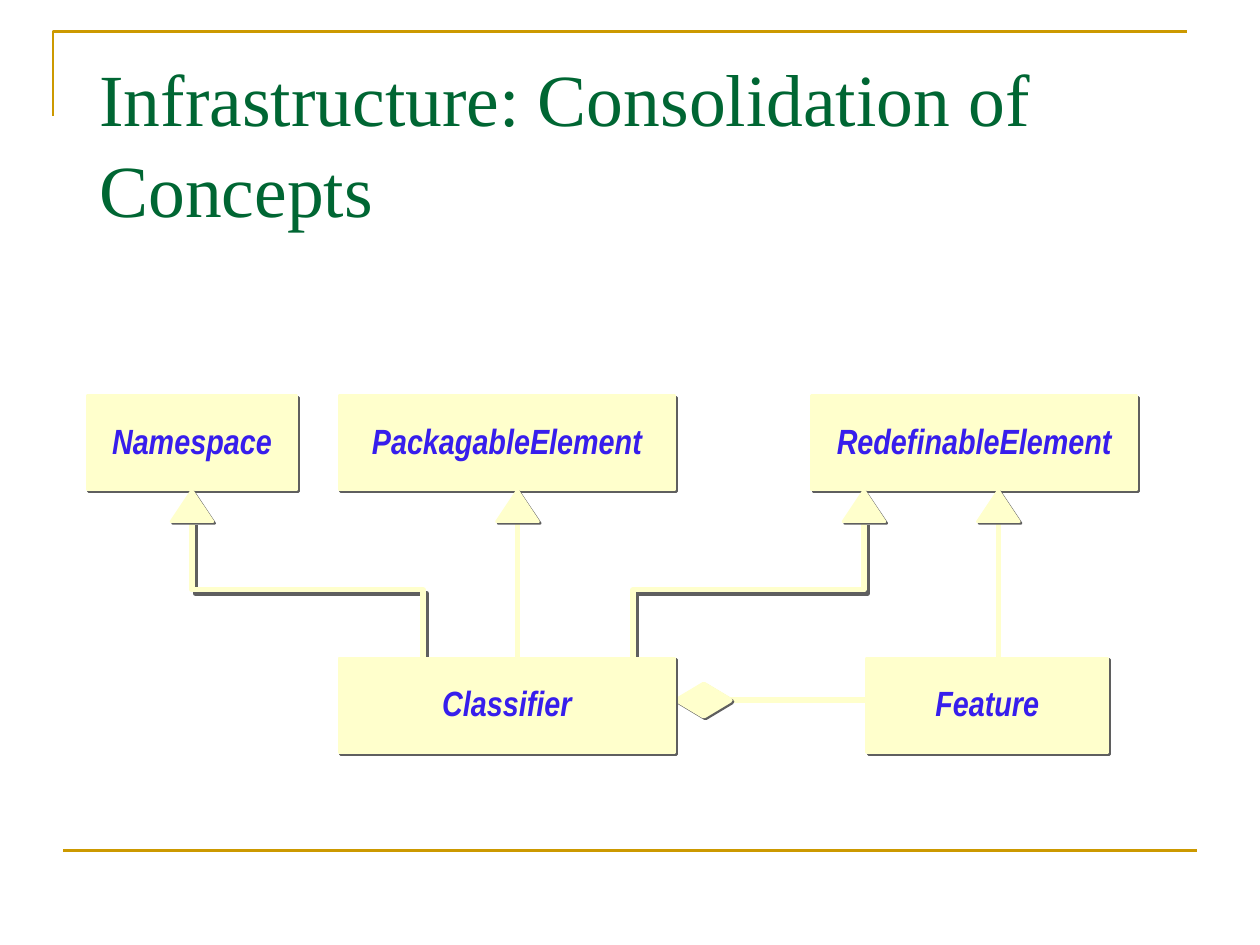
"""Build the slide on consolidating infrastructure concepts as a class diagram."""
from lxml.etree import SubElement
from pptx import Presentation
from pptx.dml.color import RGBColor
from pptx.enum.shapes import MSO_CONNECTOR, MSO_SHAPE
from pptx.enum.text import MSO_ANCHOR, PP_ALIGN
from pptx.oxml.ns import qn
from pptx.util import Inches, Pt

COLORS = {
    "rule": "CC9900",
    "title": "006633",
    "box": "FFFFCC",
    "label": "371EEC",
    "shadow": "5F5F5F",
}
COLOR = {name: RGBColor.from_string(value) for name, value in COLORS.items()}
CELL = Inches(1) / 12
LEFT, TOP = Inches(0.69), Inches(3.14)
BOX_ROWS, ARROW_ROWS, LOWER_ROW = 9, 3, 25
ARROW_BASE = BOX_ROWS + ARROW_ROWS
BEND_ROW = (ARROW_BASE + LOWER_ROW) / 2
DIAMOND_COLUMN, DIAMOND_ROW = 56.25, 29

presentation = Presentation()
presentation.slide_width, presentation.slide_height = Inches(10), Inches(7.5)
slide = presentation.slides.add_slide(presentation.slide_layouts[6])
shapes = slide.shapes


def grid(column, row):
    return round(LEFT + column * CELL), round(TOP + row * CELL)


def finish(shape, color, width, shadow_distance=0):
    shape.line.color.rgb = COLOR[color]
    shape.line.width = Pt(width)
    properties = shape._element.spPr
    effects = properties.find(qn("a:effectLst"))
    if effects is None:
        effects = SubElement(properties, qn("a:effectLst"))
    if shadow_distance:
        shadow = SubElement(effects, qn("a:outerShdw"), dist=str(Pt(shadow_distance)),
                            dir="2700000", algn="ctr", rotWithShape="0")
        SubElement(shadow, qn("a:srgbClr"), val=COLORS["shadow"])


frame_builder = shapes.build_freeform(Inches(0.42), Inches(0.92))
frame_builder.add_line_segments(
    [(Inches(0.42), Inches(0.25)), (Inches(9.42), Inches(0.25))], close=False)
frame = frame_builder.convert_to_shape()
frame.shadow.inherit = False
frame.fill.background()
finish(frame, "rule", 1.5)
footer_rule = shapes.add_connector(
    MSO_CONNECTOR.STRAIGHT, Inches(0.5), Inches(6.75), Inches(9.5), Inches(6.75))
finish(footer_rule, "rule", 1.5)

title = shapes.add_textbox(Inches(0.5), Inches(0.3), Inches(9), Inches(1.25))
title.text_frame.word_wrap = True
title.text_frame.margin_left = Inches(0.29)
title.text_frame.margin_top = Inches(0.09)
title.text_frame.text = "Infrastructure: Consolidation of Concepts"
paragraph = title.text_frame.paragraphs[0]
paragraph.line_spacing = 1.04
font = paragraph.runs[0].font
font.name, font.size = "Times New Roman", Pt(42)
font.color.rgb = COLOR["title"]

symbols = [
    (MSO_SHAPE.RECTANGLE, 0, 0, 20, BOX_ROWS, "Namespace"),
    (MSO_SHAPE.RECTANGLE, 24, 0, 32, BOX_ROWS, "PackagableElement"),
    (MSO_SHAPE.RECTANGLE, 69, 0, 31, BOX_ROWS, "RedefinableElement"),
]
arrows = [(41, 41), (10, 32), (74, 52), (86.8, 86.8)]
symbols += [(MSO_SHAPE.ISOSCELES_TRIANGLE, tip - 2, BOX_ROWS, 4, ARROW_ROWS, "")
            for tip, start in arrows]
symbols += [
    (MSO_SHAPE.DIAMOND, DIAMOND_COLUMN, DIAMOND_ROW - 1.5, 5, 3, ""),
    (MSO_SHAPE.RECTANGLE, 24, LOWER_ROW, 32, BOX_ROWS, "Classifier"),
    (MSO_SHAPE.RECTANGLE, 74.25, LOWER_ROW, 23, BOX_ROWS, "Feature"),
]

straight_lines = [(tip, ARROW_BASE, start, LOWER_ROW) for tip, start in arrows if tip == start]
straight_lines.append((DIAMOND_COLUMN, DIAMOND_ROW, 74.25, DIAMOND_ROW))
for start_column, start_row, end_column, end_row in straight_lines:
    connector = shapes.add_connector(
        MSO_CONNECTOR.STRAIGHT, *grid(start_column, start_row), *grid(end_column, end_row))
    finish(connector, "box", 3)

for tip, start in arrows:
    if tip != start:
        elbow_builder = shapes.build_freeform(*grid(tip, ARROW_BASE))
        elbow_builder.add_line_segments(
            [grid(tip, BEND_ROW), grid(start, BEND_ROW), grid(start, LOWER_ROW)], close=False)
        elbow = elbow_builder.convert_to_shape()
        elbow.shadow.inherit = False
        elbow.fill.background()
        finish(elbow, "box", 3, 2.8)

for kind, column, row, columns, rows, label in symbols:
    shape = shapes.add_shape(kind, *grid(column, row), round(columns * CELL), round(rows * CELL))
    shape.shadow.inherit = False
    shape.fill.solid()
    shape.fill.fore_color.rgb = COLOR["box"]
    finish(shape, "box", 3 if kind == MSO_SHAPE.DIAMOND else 1.5, 1.4)
    if label:
        text_frame = shape.text_frame
        text_frame.word_wrap = False
        text_frame.vertical_anchor = MSO_ANCHOR.MIDDLE
        text_frame.margin_left = text_frame.margin_right = Inches(0.1)
        text_frame.margin_top = text_frame.margin_bottom = Inches(0.1)
        text_frame.text = label
        paragraph = text_frame.paragraphs[0]
        paragraph.alignment = PP_ALIGN.CENTER
        paragraph.line_spacing = 0.9
        font = paragraph.runs[0].font
        font.name, font.size = "Arial Narrow", Pt(20)
        font.bold = font.italic = True
        font.color.rgb = COLOR["label"]

presentation.save("out.pptx")
